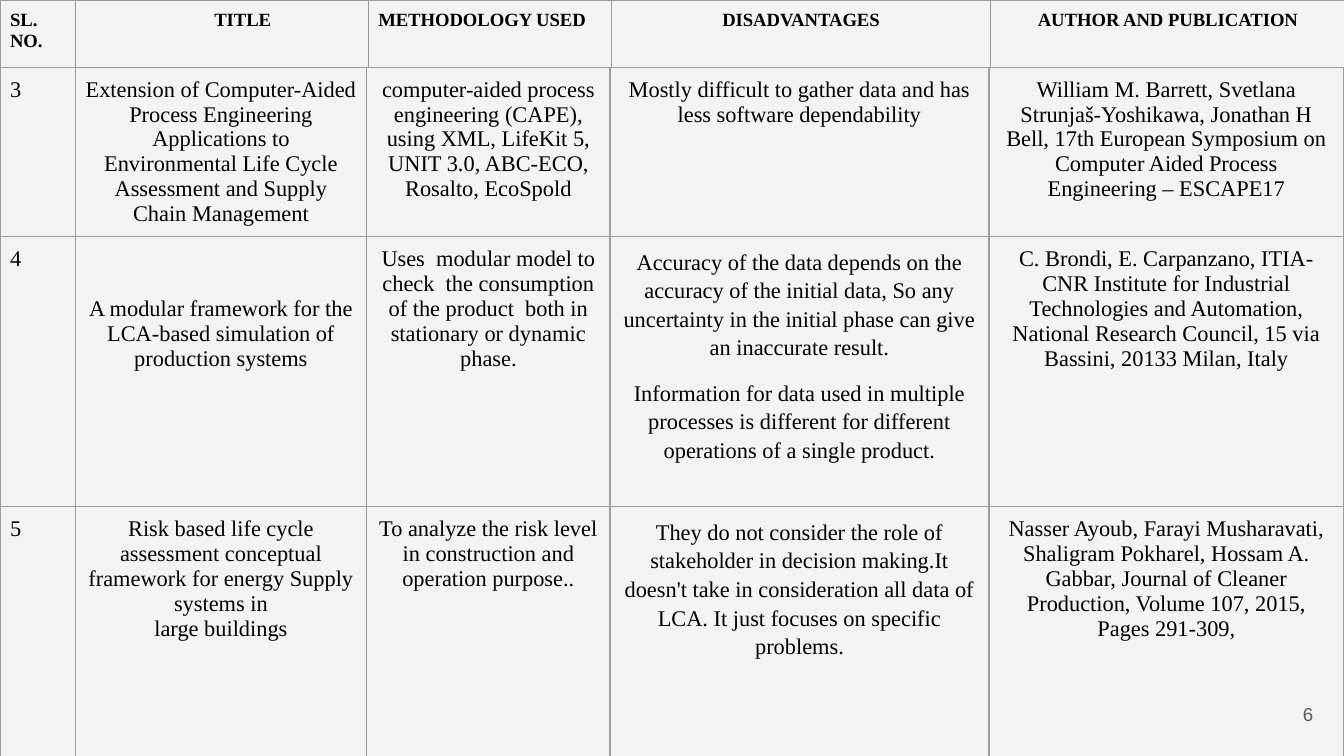
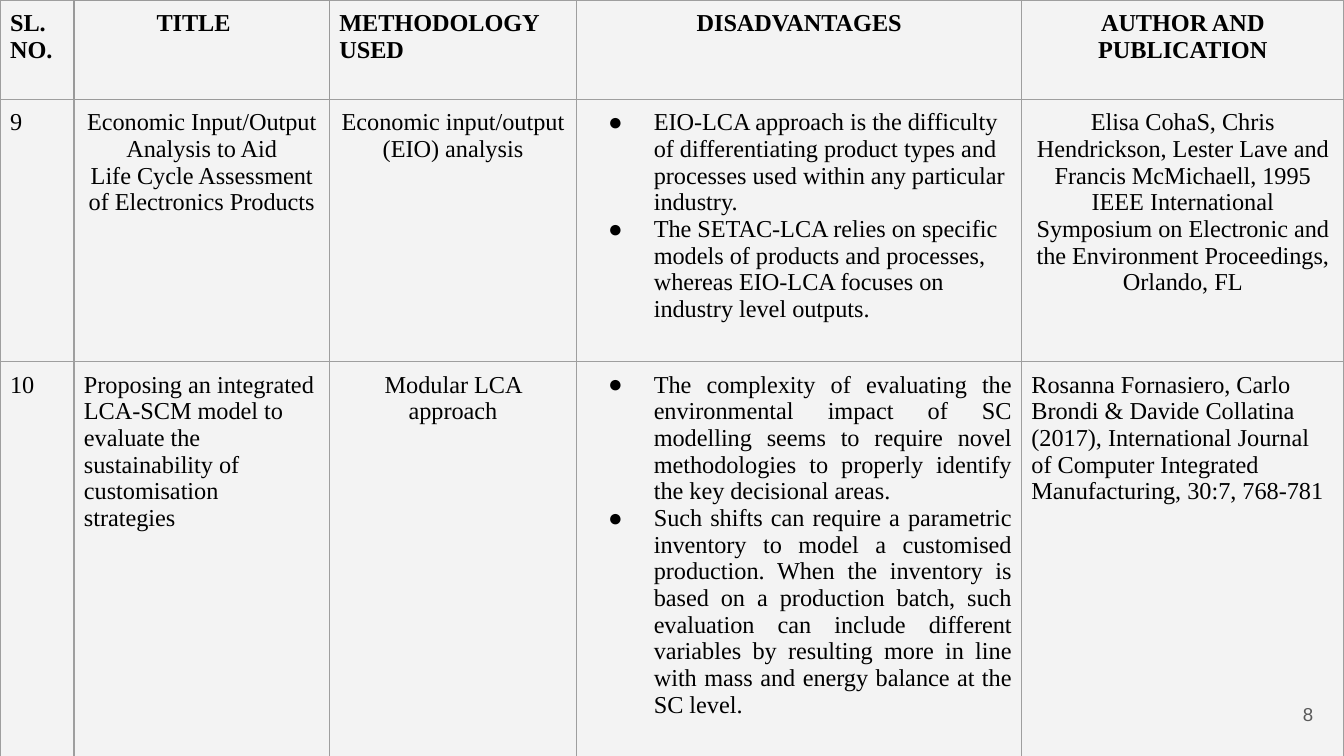
from itertools import accumulate
from lxml.etree import SubElement
from pptx import Presentation
from pptx.dml.color import RGBColor
from pptx.enum.text import MSO_ANCHOR, PP_ALIGN
from pptx.oxml.ns import qn
from pptx.util import Inches, Pt

SLIDE_WIDTH = Inches(10)
SLIDE_HEIGHT = SLIDE_WIDTH * 9 // 16
BLACK = RGBColor(0x00, 0x00, 0x00)
CELL_GREY = RGBColor(0xF3, 0xF3, 0xF3)
RULE_GREY = RGBColor(0x9E, 0x9E, 0x9E)
TITLE_RULE_GREY = RGBColor(0x99, 0x99, 0x99)
NUMBER_GREY = RGBColor(0x59, 0x59, 0x59)
TABLE_FONT, NUMBER_FONT = "Times New Roman", "Arial"
CELL_INSET = Pt(5.4)
SIDES = ("left", "right", "top", "bottom")
HEADER_RULES = {(0, 0): "R", (0, 1): "LRTB", (0, 2): "L", (1, 1): "T"}

LEFT = {"alignment": PP_ALIGN.LEFT}
CENTRED = {"alignment": PP_ALIGN.CENTER}
JUSTIFIED = {"alignment": PP_ALIGN.JUSTIFY}
LOOSE = {"alignment": PP_ALIGN.CENTER, "line_spacing": 1.15}


def entry(*paragraphs, layout=CENTRED, **options):
    return {"paragraphs": paragraphs, "layout": layout, **options}


def bullets(*paragraphs, layout=LEFT):
    return entry(*paragraphs, layout=layout, bulleted=True, indent=0.5)


def header_row(title_indent):
    return [
        entry("SL. NO.", layout=LEFT),
        entry("TITLE", layout=LEFT, indent=title_indent),
        entry("METHODOLOGY USED", layout=LEFT),
        entry("DISADVANTAGES"),
        entry("AUTHOR AND PUBLICATION"),
    ]


def number(value):
    return entry(value, layout=LEFT)


def apply(target, values):
    for name, value in values.items():
        setattr(target, name, value)


def set_margins(target, inset):
    apply(target, {f"margin_{side}": inset for side in SIDES})


def font_format(run, size, colour, **values):
    apply(run.font, {"size": Pt(size), **values})
    run.font.color.rgb = colour


def indent_paragraph(paragraph, indent, bulleted):
    properties = paragraph._p.get_or_add_pPr()
    properties.set("marL", str(Inches(indent)))
    if bulleted:
        properties.set("indent", str(Inches(-0.34)))
        colour = SubElement(properties, qn("a:buClr"))
        SubElement(colour, qn("a:srgbClr"), val=str(BLACK))
        SubElement(properties, qn("a:buFont"), typeface=TABLE_FONT)
        SubElement(properties, qn("a:buChar"), char="●")


def rule_cell(cell, title_sides):
    properties = cell._tc.get_or_add_tcPr()
    for side in "LRTB":
        colour = TITLE_RULE_GREY if side in title_sides else RULE_GREY
        line = SubElement(properties, qn(f"a:ln{side}"), w=str(Pt(0.75)))
        fill = SubElement(line, qn("a:solidFill"))
        SubElement(fill, qn("a:srgbClr"), val=str(colour))


def fill_cell(cell, content, size, bold, title_sides):
    rule_cell(cell, title_sides)
    cell.fill.solid()
    cell.fill.fore_color.rgb = CELL_GREY
    set_margins(cell, CELL_INSET)
    cell.margin_top = CELL_INSET + Inches(content.get("drop", 0))
    frame = cell.text_frame
    for index, wording in enumerate(content["paragraphs"]):
        paragraph = frame.add_paragraph() if index else frame.paragraphs[0]
        if "indent" in content:
            indent_paragraph(paragraph, content["indent"], content.get("bulleted", False))
        apply(paragraph, content["layout"])
        if index and "gap" in content:
            paragraph.space_before = Pt(content["gap"])
        run = paragraph.add_run()
        run.text = wording
        font_format(run, size, BLACK, name=TABLE_FONT, bold=bold)


def add_review_table(slide, top, columns, heights, entries, size, has_header):
    frame = slide.shapes.add_table(
        len(heights), len(columns), 0, Inches(top), Inches(sum(columns)), Inches(sum(heights)))
    table = frame.table
    apply(table, {"first_row": False, "horz_banding": False})
    for column, width in zip(table.columns, columns):
        column.width = Inches(width)
    for row, height in zip(table.rows, heights):
        row.height = Inches(height)
    for r, row_entries in enumerate(entries):
        for c, content in enumerate(row_entries):
            title_sides = HEADER_RULES.get((r, c), "") if has_header else ""
            fill_cell(table.cell(r, c), content, size, has_header and r == 0, title_sides)


def add_page_number(slide, value):
    box = slide.shapes.add_textbox(
        int(SLIDE_WIDTH * 0.927), Inches(5.1), int(SLIDE_WIDTH * 0.06), Inches(0.43))
    frame = box.text_frame
    set_margins(frame, Inches(0.1))
    apply(frame, {"word_wrap": True, "vertical_anchor": MSO_ANCHOR.MIDDLE})
    paragraph = frame.paragraphs[0]
    paragraph.alignment = PP_ALIGN.RIGHT
    run = paragraph.add_run()
    run.text = value
    font_format(run, 10, NUMBER_GREY, name=NUMBER_FONT)


FRAMEWORK_STUDIES = [
    [
        number("3"),
        entry("Extension of Computer-Aided Process Engineering",
              "Applications to Environmental Life Cycle Assessment and Supply Chain Management"),
        entry("computer-aided process engineering (CAPE), using XML, LifeKit 5, "
              "UNIT 3.0, ABC-ECO, Rosalto, EcoSpold"),
        entry("Mostly difficult to gather data and has less software dependability"),
        entry("William M. Barrett, Svetlana Strunjaš-Yoshikawa, Jonathan H Bell, 17th European "
              "Symposium on Computer Aided Process Engineering – ESCAPE17"),
    ],
    [
        number("4"),
        entry("A modular framework for the LCA-based simulation of production systems", drop=0.37),
        entry("Uses  modular model to check  the consumption of the product  both in "
              "stationary or dynamic phase."),
        entry("Accuracy of the data depends on the accuracy of the initial data, So any "
              "uncertainty in the initial phase can give an inaccurate result.",
              "Information for data used in multiple processes is different for different "
              "operations of a single product.", layout=LOOSE, gap=9),
        entry("C. Brondi, E. Carpanzano, ITIA-CNR Institute for Industrial Technologies and "
              "Automation, National Research Council, 15 via Bassini, 20133 Milan, Italy"),
    ],
    [
        number("5"),
        entry("Risk based life cycle assessment conceptual framework for energy Supply systems in",
              "large buildings"),
        entry("To analyze the risk level in construction and operation purpose.."),
        entry("They do not consider the role of stakeholder in decision making.It doesn't take in "
              "consideration all data of LCA. It just focuses on specific problems.", layout=LOOSE),
        entry("Nasser Ayoub, Farayi Musharavati, Shaligram Pokharel, Hossam A. Gabbar, Journal of "
              "Cleaner Production, Volume 107, 2015, Pages 291-309,"),
    ],
]

MODEL_STUDIES = [
    [
        number("9"),
        entry("Economic Input/Output Analysis to Aid",
              "Life Cycle Assessment of Electronics Products"),
        entry("Economic input/output (EIO) analysis"),
        bullets("EIO-LCA approach is the difficulty of differentiating product types and processes "
                "used within any particular industry.",
                "The SETAC-LCA relies on specific models of products and processes, whereas EIO-LCA "
                "focuses on industry level outputs."),
        entry("Elisa CohaS, Chris Hendrickson, Lester Lave and Francis McMichaell, 1995 IEEE "
              "International Symposium on Electronic and the Environment Proceedings, Orlando, FL"),
    ],
    [
        number("10"),
        entry("Proposing an integrated LCA-SCM model to",
              "evaluate the sustainability of customisation", "strategies", layout=LEFT),
        entry("Modular LCA approach"),
        bullets("The complexity of evaluating the environmental impact of SC modelling seems to "
                "require novel methodologies to properly identify the key decisional areas. ",
                "Such shifts can require a parametric inventory to model a customised production. "
                "When the inventory is based on a production batch, such evaluation can include "
                "different variables by resulting more in line with mass and energy balance at the "
                "SC level.", layout=JUSTIFIED),
        entry("Rosanna Fornasiero, Carlo Brondi & Davide Collatina (2017), International Journal of "
              "Computer Integrated Manufacturing, 30:7, 768-781", layout=LEFT),
    ],
]

REVIEW_SLIDES = [
    ("6", [
        ([0.56, 2.18, 1.81, 2.82, 2.64], [0.5], [header_row(0.96)], 10, True),
        ([0.56, 2.17, 1.81, 2.82, 2.64], [1.26, 2.01, 2.01], FRAMEWORK_STUDIES, 12, False),
    ]),
    ("8", [
        ([0.55, 1.9, 1.84, 3.31, 2.4], [0.74, 1.95, 3.19],
         [header_row(0.54)] + MODEL_STUDIES, 13, True),
    ]),
]


def main():
    presentation = Presentation()
    apply(presentation, {"slide_width": SLIDE_WIDTH, "slide_height": SLIDE_HEIGHT})
    for page, tables in REVIEW_SLIDES:
        slide = presentation.slides.add_slide(presentation.slide_layouts[6])
        tops = accumulate((sum(table[1]) for table in tables), initial=0)
        for top, table in reversed(list(zip(tops, tables))):
            add_review_table(slide, top, *table)
        add_page_number(slide, page)
    presentation.save("out.pptx")


if __name__ == "__main__":
    main()
